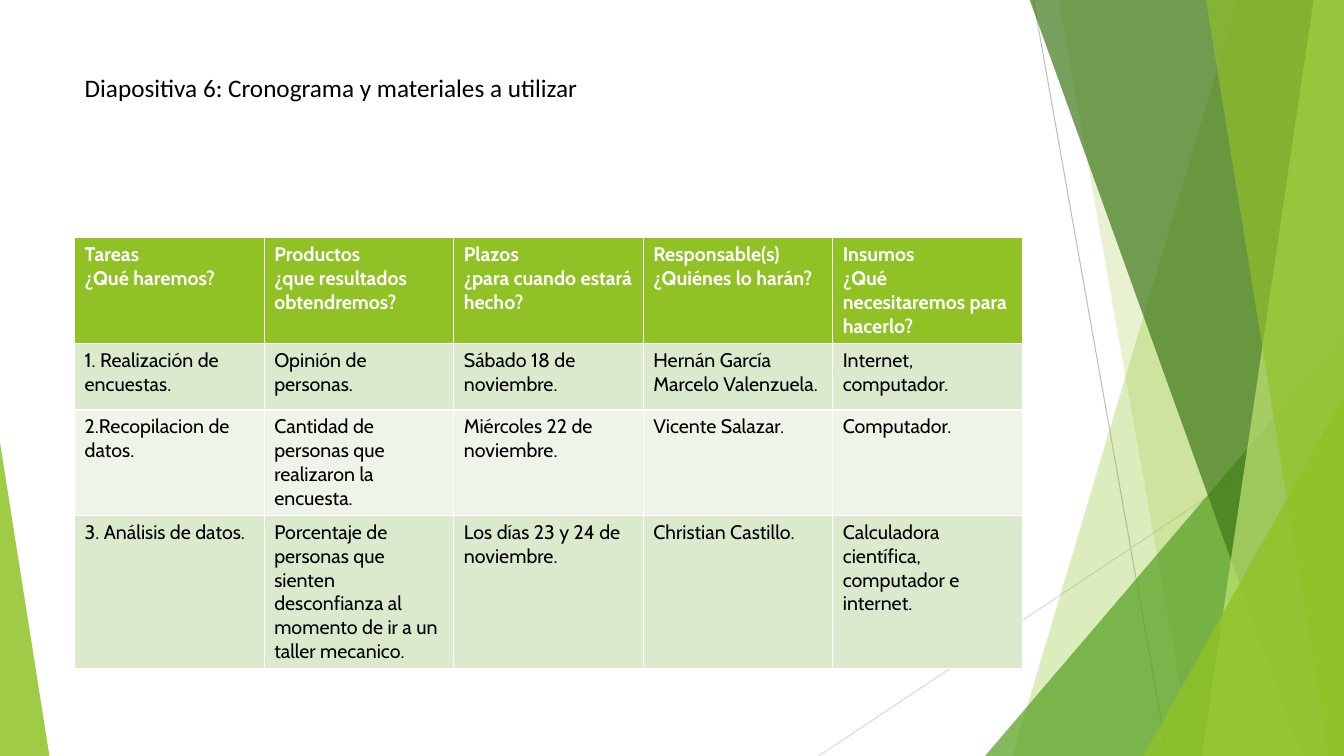
from lxml.etree import SubElement
from pptx import Presentation
from pptx.dml.color import RGBColor
from pptx.enum.shapes import MSO_CONNECTOR, MSO_SHAPE
from pptx.enum.text import MSO_ANCHOR, PP_ALIGN
from pptx.oxml.ns import qn
from pptx.util import Inches, Pt

TITLE = "Diapositiva 6: Cronograma y materiales a utilizar"
ROWS = [
    ["Tareas\n¿Qué haremos?", "Productos\n¿que resultados obtendremos?",
     "Plazos\n¿para cuando estará hecho?",
     "Responsable(s)\n¿Quiénes lo harán?",
     "Insumos\n¿Qué necesitaremos para hacerlo?"],
    ["1. Realización de encuestas.", "Opinión de personas.",
     "Sábado 18 de noviembre.", "Hernán García\nMarcelo Valenzuela.",
     "Internet, computador."],
    ["2.Recopilacion de datos.",
     "Cantidad de personas que realizaron la encuesta.",
     "Miércoles 22 de noviembre.", "Vicente Salazar.", "Computador."],
    ["3. Análisis de datos.",
     "Porcentaje de personas que sienten desconfianza al momento de ir a un "
     "taller mecanico.",
     "Los días 23 y 24 de noviembre.", "Christian Castillo.",
     "Calculadora científica, computador e internet."],
]
WIDE, HIGH, TOP = 13.33, 7.5, -0.01
LEFT, SPAN = 0.74, 9.4
GREEN, BANDS = "90C226", ("EEF4E8", "DBE9CD")

# Start, end, colour
LINES = [((10.25, 0), (11.58, HIGH), "BFBFBF"),
         ((WIDE, 4.03), (8.12, HIGH), "D9D9D9")]
# Shards reach the right edge: top x, bottom x, colour, opacity
# Triangles: left, top, width, apex, colour, opacity
DECOR = [
    ("shard", 12.28, 10.04, GREEN, 30),
    ("shard", 10.5, 11.83, GREEN, 20),
    ("triangle", 9.77, 3.33, 3.56, 1, "54A021", 72),
    ("shard", 10.21, 12.91, "3F7819", 70),
    ("shard", 13.03, 11.92, "C0E474", 70),
    ("shard", 11.96, 13.18, GREEN, 65),
    ("triangle", 11.34, 3.93, 1.99, 1, GREEN, 80),
    ("triangle", 0, 4.39, 0.49, 0, GREEN, 85),
]


def color(code):
    return RGBColor.from_string(code)


def write(frame, text, font="Cabin", size=14, ink="000000", bold=False):
    frame.text = text
    for para in frame.paragraphs:
        para.alignment = PP_ALIGN.LEFT
        for run in para.runs:
            run.font.name, run.font.size = font, Pt(size)
            run.font.bold = bold
            run.font.color.rgb = color(ink)


def paint(shape, code, alpha):
    shape.shadow.inherit = False
    shape.line.fill.background()
    shape.fill.solid()
    shape.fill.fore_color.rgb = color(code)
    tint = shape.fill._xPr.find(qn("a:solidFill"))[0]
    SubElement(tint, qn("a:alpha")).set("val", str(alpha * 1000))


def shard(top, base, code, alpha):
    pts = [(top, TOP), (WIDE, TOP), (WIDE, HIGH), (base, HIGH)]
    pts = [(Inches(x), Inches(y)) for x, y in pts]
    pen = shapes.build_freeform(*pts[0])
    pen.add_line_segments(pts[1:], close=True)
    paint(pen.convert_to_shape(), code, alpha)


def triangle(left, top, width, apex, code, alpha):
    shape = shapes.add_shape(
        MSO_SHAPE.ISOSCELES_TRIANGLE, Inches(left), Inches(top),
        Inches(width), Inches(HIGH - top))
    shape.adjustments[0] = apex
    paint(shape, code, alpha)


deck = Presentation()
deck.slide_width, deck.slide_height = Inches(WIDE), Inches(HIGH)
slide = deck.slides.add_slide(deck.slide_layouts[5])
shapes = slide.shapes

# Background decoration
for start, end, code in LINES:
    line = shapes.add_connector(
        MSO_CONNECTOR.STRAIGHT, *[Inches(v) for v in start + end])
    line.line.color.rgb = color(code)
    line.line.width = Pt(0.75)
    SubElement(line._element.spPr, qn("a:effectLst"))
draw = {"shard": shard, "triangle": triangle}
for kind, *args in DECOR:
    draw[kind](*args)

# Title
title = shapes.title
title.left, title.top = Inches(LEFT), Inches(0.67)
title.width, title.height = Inches(SPAN), Inches(1.44)
title.text_frame.vertical_anchor = MSO_ANCHOR.TOP
write(title.text_frame, TITLE, font="Calibri", size=18)

# Schedule table: rows grow to fit their text
count = len(ROWS[0])
table = shapes.add_table(
    len(ROWS), count, Inches(LEFT), Inches(2.36),
    Inches(SPAN), Inches(0.66 * len(ROWS))).table
for col in table.columns:
    col.width = Inches(SPAN / count)
for r, row in enumerate(ROWS):
    head = r == 0
    for c, text in enumerate(row):
        cell = table.cell(r, c)
        cell.fill.solid()
        cell.fill.fore_color.rgb = color(GREEN if head else BANDS[r % 2])
        write(cell.text_frame, text, bold=head,
              ink="FFFFFF" if head else "000000")

deck.save("out.pptx")
